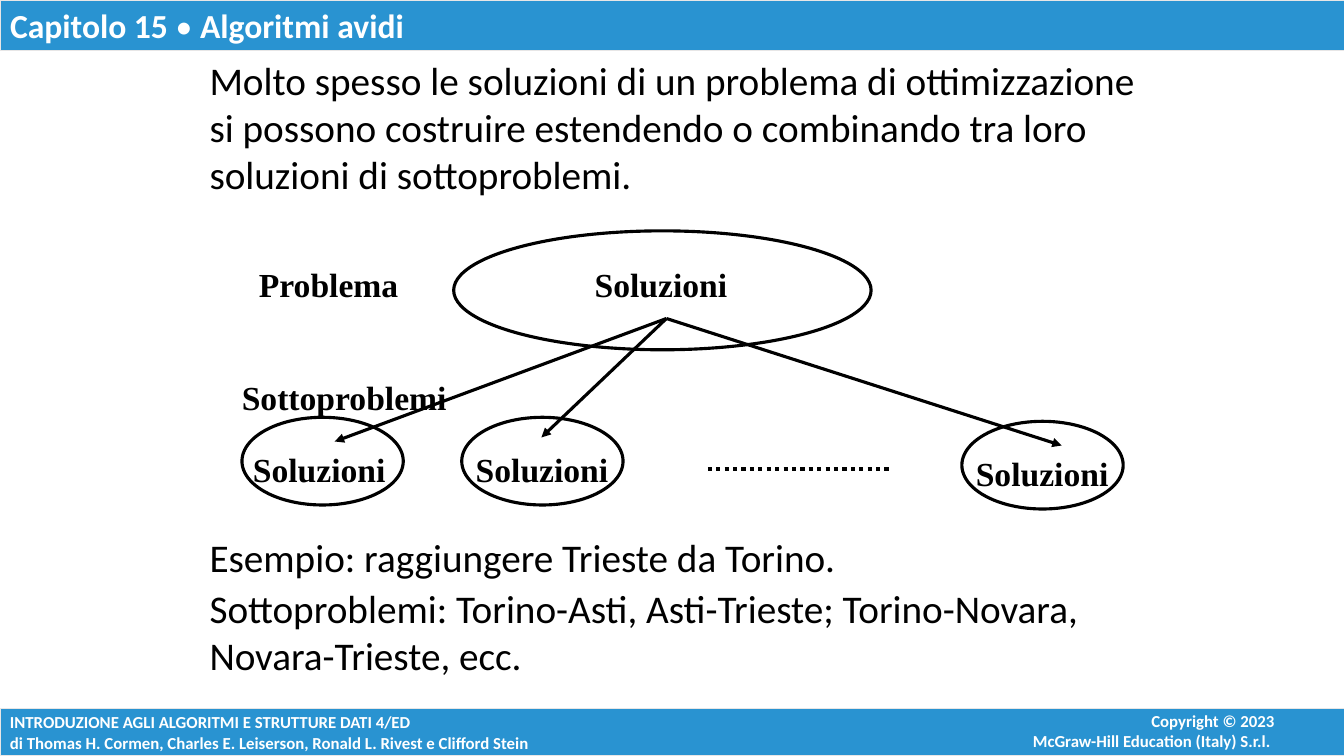
from dataclasses import dataclass

from lxml import etree
from pptx import Presentation
from pptx.dml.color import RGBColor
from pptx.enum.dml import MSO_LINE
from pptx.enum.shapes import MSO_CONNECTOR, MSO_SHAPE
from pptx.enum.text import MSO_ANCHOR, MSO_AUTO_SIZE, PP_ALIGN
from pptx.oxml.ns import qn
from pptx.util import Inches, Pt

RECT, OVAL = MSO_SHAPE.RECTANGLE, MSO_SHAPE.OVAL
STRAIGHT = MSO_CONNECTOR.STRAIGHT
DOTTED = MSO_LINE.ROUND_DOT
TOP, MIDDLE = MSO_ANCHOR.TOP, MSO_ANCHOR.MIDDLE
LEFT, RIGHT = PP_ALIGN.LEFT, PP_ALIGN.RIGHT
NO_FIT = MSO_AUTO_SIZE.NONE


@dataclass(frozen=True)
class Theme:
    """Colours, fonts and type sizes of the slide."""
    bar: RGBColor = RGBColor(0x29, 0x93, 0xD1)
    edge: RGBColor = RGBColor(0xE7, 0xE6, 0xE6)
    white: RGBColor = RGBColor(0xFF, 0xFF, 0xFF)
    ink: RGBColor = RGBColor(0, 0, 0)
    sans: str = "Calibri"
    serif: str = "Times New Roman"
    title: int = 24
    body: int = 28
    label: int = 24
    footer: int = 12
    outline: float = 2.25


class SlideBuilder:
    """Draws styled elements on one slide."""

    def __init__(self, s, theme):
        self.s = s
        self.theme = theme

    def frame(self, sp, anchor=TOP, wrap=True):
        tf = sp.text_frame
        tf.auto_size = NO_FIT
        tf.word_wrap = wrap
        tf.vertical_anchor = anchor
        tf.margin_left = tf.margin_right = Inches(0.1)
        tf.margin_top = tf.margin_bottom = Inches(0.05)
        return tf

    def run(self, p, text, font, size, color, bold=False):
        r = p.add_run()
        r.text = text
        r.font.name = font
        r.font.size = Pt(size)
        r.font.color.rgb = color
        r.font.bold = bold

    def paint_bar(self, sp):
        sp.fill.solid()
        sp.fill.fore_color.rgb = self.theme.bar
        sp.line.color.rgb = self.theme.edge
        sp.line.width = Pt(0.75)

    def title(self, x, y, w, h, parts):
        t = self.theme
        sp = self.s.shapes.title
        sp.left, sp.top, sp.width, sp.height = map(Inches, (x, y, w, h))
        self.paint_bar(sp)
        p = self.frame(sp, MIDDLE).paragraphs[0]
        p.alignment = LEFT
        for text, bold in parts:
            self.run(p, text, t.sans, t.title, t.white, bold)

    def footer(self, x, y, w, h, lines):
        t = self.theme
        sp = self.s.shapes.add_shape(RECT, *map(Inches, (x, y, w, h)))
        sp.shadow.inherit = False
        self.paint_bar(sp)
        p = self.frame(sp, MIDDLE, wrap=False).paragraphs[0]
        p.alignment = LEFT
        for i, line in enumerate(lines):
            if i:
                p.add_line_break()
            self.run(p, line, t.sans, t.footer, t.white, True)

    def text(self, x, y, w, h, lines, font, size, color, bold=False,
             align=LEFT, wrap=True, gap=0):
        sp = self.s.shapes.add_textbox(*map(Inches, (x, y, w, h)))
        tf = self.frame(sp, wrap=wrap)
        for i, line in enumerate(lines):
            p = tf.add_paragraph() if i else tf.paragraphs[0]
            p.alignment = align
            p.space_before = Pt(gap if i else 0)
            self.run(p, line, font, size, color, bold)

    def body(self, y, h, lines):
        t = self.theme
        self.text(1.98, y, 9.37, h, lines, t.sans, t.body, t.ink, gap=3)

    def label(self, x, y, w, text):
        t = self.theme
        self.text(x, y, w, 0.51, [text], t.serif, t.label, t.ink, True,
                  wrap=False)

    def ellipse(self, x, y, w, h):
        sp = self.s.shapes.add_shape(OVAL, *map(Inches, (x, y, w, h)))
        sp.shadow.inherit = False
        sp.fill.background()
        sp.line.color.rgb = self.theme.ink
        sp.line.width = Pt(self.theme.outline)

    def line(self, start, end, width, arrow=False, dash=None):
        c = self.s.shapes.add_connector(STRAIGHT, *map(Inches, start + end))
        c.line.color.rgb = self.theme.ink
        c.line.width = Pt(width)
        if dash:
            c.line.dash_style = dash
        if arrow:
            etree.SubElement(c.line._get_or_add_ln(), qn("a:tailEnd"),
                             type="triangle")
        etree.SubElement(c._element.spPr, qn("a:effectLst"))


def main():
    """Build the slide and save it."""
    prs = Presentation()
    prs.slide_width, prs.slide_height = Inches(13.33), Inches(7.5)
    s = prs.slides.add_slide(prs.slide_layouts[5])
    theme = Theme()
    b = SlideBuilder(s, theme)

    b.title(0, 0, 13.35, 0.5,
            [("Capitolo 15 ", True), ("•", False), (" Algoritmi avidi", True)])
    b.footer(0, 7.03, 13.35, 0.47, [
        "INTRODUZIONE AGLI ALGORITMI E STRUTTURE DATI 4/ED",
        "di Thomas H. Cormen, Charles E. Leiserson, Ronald L. Rivest "
        "e Clifford Stein"])
    b.text(8.89, 7, 3.85, 0.5,
           ["Copyright © 2023", "McGraw-Hill Education (Italy) S.r.l. "],
           theme.sans, theme.footer, theme.white, True, RIGHT)

    b.body(0.51, 1.51, [
        "Molto spesso le soluzioni di un problema di ottimizzazione si "
        "possono costruire estendendo o combinando tra loro soluzioni di "
        "sottoproblemi."])

    b.label(2.47, 2.57, 1.6, "Problema")
    b.label(2.3, 3.69, 2.25, "Sottoproblemi")
    b.ellipse(4.5, 2.29, 4.14, 1.18)
    b.label(5.8, 2.57, 1.53, "Soluzioni")

    root = (6.61, 3.16)
    subproblems = [(2.4, 4.14, 2.41, (3.32, 4.38)),
                   (4.58, 4.14, 4.62, (5.37, 4.34)),
                   (9.54, 4.18, 9.58, (10.53, 4.42))]
    for x, y, label_x, tip in subproblems:
        b.ellipse(x, y, 1.6, 0.87)
        b.line(root, tip, theme.outline, arrow=True)
        b.label(label_x, y + 0.26, 1.61, "Soluzioni")
    b.line((7.02, 4.65), (8.84, 4.65), 3, dash=DOTTED)

    b.body(5.24, 1.56, [
        "Esempio: raggiungere Trieste da Torino.",
        "Sottoproblemi: Torino-Asti, Asti-Trieste; Torino-Novara, "
        "Novara-Trieste, ecc."])

    prs.save("out.pptx")


if __name__ == "__main__":
    main()
